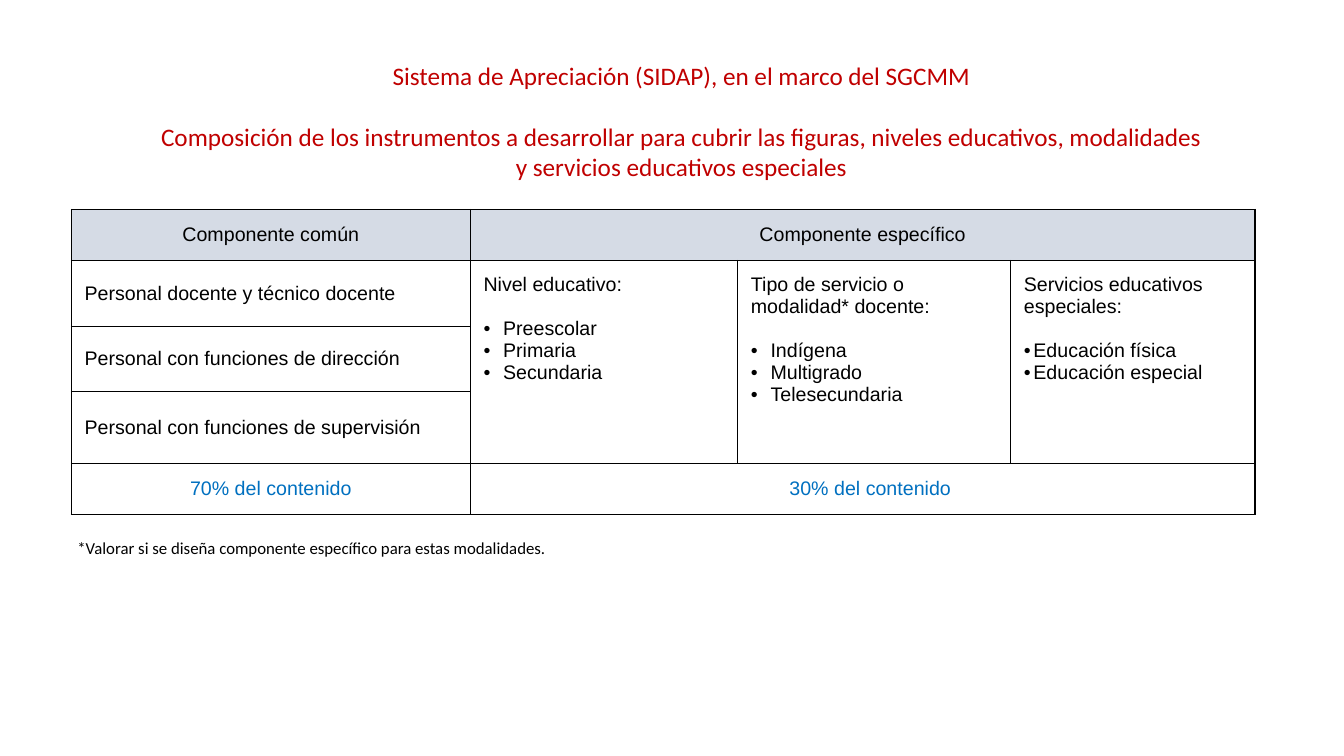
from lxml.etree import SubElement
from pptx import Presentation
from pptx.dml.color import RGBColor
from pptx.enum.text import MSO_ANCHOR, PP_ALIGN
from pptx.oxml.ns import qn
from pptx.util import Pt

BLACK, WHITE, RED, BLUE, GREY = "000000", "FFFFFF", "C00000", "0070C0", "D5DBE5"
HEAD = {"size": Pt(18), "name": "Calibri"}
NOTE = {"size": Pt(12), "name": "Calibri"}
BODY = {"size": Pt(14), "name": "Arial"}
COLS = [285, 191, 195, 174.5]
ROWS = [36.5, 47, 46.5, 51.5, 36.5]
STAFF = ["Personal docente y técnico docente",
         "Personal con funciones de dirección",
         "Personal con funciones de supervisión"]
# Heading, list items, list indent
LISTS = [
    ("Nivel educativo:", ["Preescolar", "Primaria", "Secundaria"], 14),
    ("Tipo de servicio o modalidad* docente:",
     ["Indígena", "Multigrado", "Telesecundaria"], 14),
    ("Servicios educativos especiales:",
     ["Educación física", "Educación especial"], 6.75),
]


def paint(hue):
    return RGBColor.from_string(hue)


def put(para, text, form, hue=BLACK, align=PP_ALIGN.LEFT, gap=0):
    para.alignment = align
    if gap:
        para.space_before = Pt(gap)
    run = para.add_run()
    run.text = text
    for key, value in form.items():
        setattr(run.font, key, value)
    run.font.color.rgb = paint(hue)


def bullet(para, dent):
    props = para._p.get_or_add_pPr()
    props.set("marL", str(Pt(dent)))
    props.set("indent", str(-Pt(dent)))
    tint = SubElement(props, qn("a:buClr"))
    SubElement(tint, qn("a:srgbClr"), val=BLACK)
    SubElement(props, qn("a:buFont"), typeface="Arial")
    SubElement(props, qn("a:buChar"), char="•")


def block(slide, box, lines, form, hue, align, gap=0):
    """Text box with one paragraph per line."""
    frame = slide.shapes.add_textbox(*map(Pt, box)).text_frame
    frame.word_wrap = True
    for i, line in enumerate(lines):
        para = frame.add_paragraph() if i else frame.paragraphs[0]
        put(para, line, form, hue, align, gap if i else 0)


def dress(cell, fill):
    """Margins, black borders and fill of a cell."""
    for side in ("left", "right", "top", "bottom"):
        setattr(cell, "margin_" + side, Pt(9.4))
    props = cell._tc.get_or_add_tcPr()
    for edge in ("a:lnL", "a:lnR", "a:lnT", "a:lnB"):
        line = SubElement(props, qn(edge), w=str(Pt(1)))
        solid = SubElement(line, qn("a:solidFill"))
        SubElement(solid, qn("a:srgbClr"), val=BLACK)
    cell.fill.solid()
    cell.fill.fore_color.rgb = paint(fill)


def label(cell, text, hue=BLACK, align=PP_ALIGN.CENTER):
    cell.vertical_anchor = MSO_ANCHOR.MIDDLE
    put(cell.text_frame.paragraphs[0], text, BODY, hue, align)


def grid(slide, left, top):
    shape = slide.shapes.add_table(len(ROWS), len(COLS), Pt(left), Pt(top),
                                   Pt(sum(COLS)), Pt(sum(ROWS)))
    table = shape.table
    table.first_row = table.horz_banding = False
    for col, width in zip(table.columns, COLS):
        col.width = Pt(width)
    for row, height in zip(table.rows, ROWS):
        row.height = Pt(height)
    for r in range(len(ROWS)):
        for c in range(len(COLS)):
            dress(table.cell(r, c), WHITE if r else GREY)

    # Header and share rows
    for r, common, special, hue in [
            (0, "Componente común", "Componente específico", BLACK),
            (4, "70% del contenido", "30% del contenido", BLUE)]:
        table.cell(r, 1).merge(table.cell(r, 3))
        label(table.cell(r, 0), common, hue)
        label(table.cell(r, 1), special, hue)
    last = table.cell(4, 1).text_frame.paragraphs[0]
    last._p.get_or_add_pPr().set("marL", str(Pt(10.8)))

    # Staff column
    for r, text in enumerate(STAFF, 1):
        label(table.cell(r, 0), text, align=PP_ALIGN.LEFT)

    # Specific columns
    for c, (title, items, dent) in enumerate(LISTS, 1):
        cell = table.cell(1, c)
        cell.merge(table.cell(3, c))
        frame = cell.text_frame
        put(frame.paragraphs[0], title, BODY)
        for i, item in enumerate(items):
            para = frame.add_paragraph()
            bullet(para, dent)
            put(para, item, BODY, gap=0 if i else 16)


def main():
    deck = Presentation()
    deck.slide_width, deck.slide_height = Pt(960), Pt(540)
    slide = deck.slides.add_slide(deck.slide_layouts[6])
    grid(slide, 51, 149.6)
    block(slide, (105.8, 39.6, 761.8, 94.3), [
        "Sistema de Apreciación (SIDAP), en el marco del SGCMM",
        "Composición de los instrumentos a desarrollar para cubrir las figuras, "
        "niveles educativos, modalidades y servicios educativos especiales",
    ], HEAD, RED, PP_ALIGN.CENTER, 21.6)
    block(slide, (48.2, 380.2, 370, 21.6), [
        "*Valorar si se diseña componente específico para estas modalidades.",
    ], NOTE, BLACK, PP_ALIGN.LEFT)
    deck.save("out.pptx")


if __name__ == "__main__":
    main()
